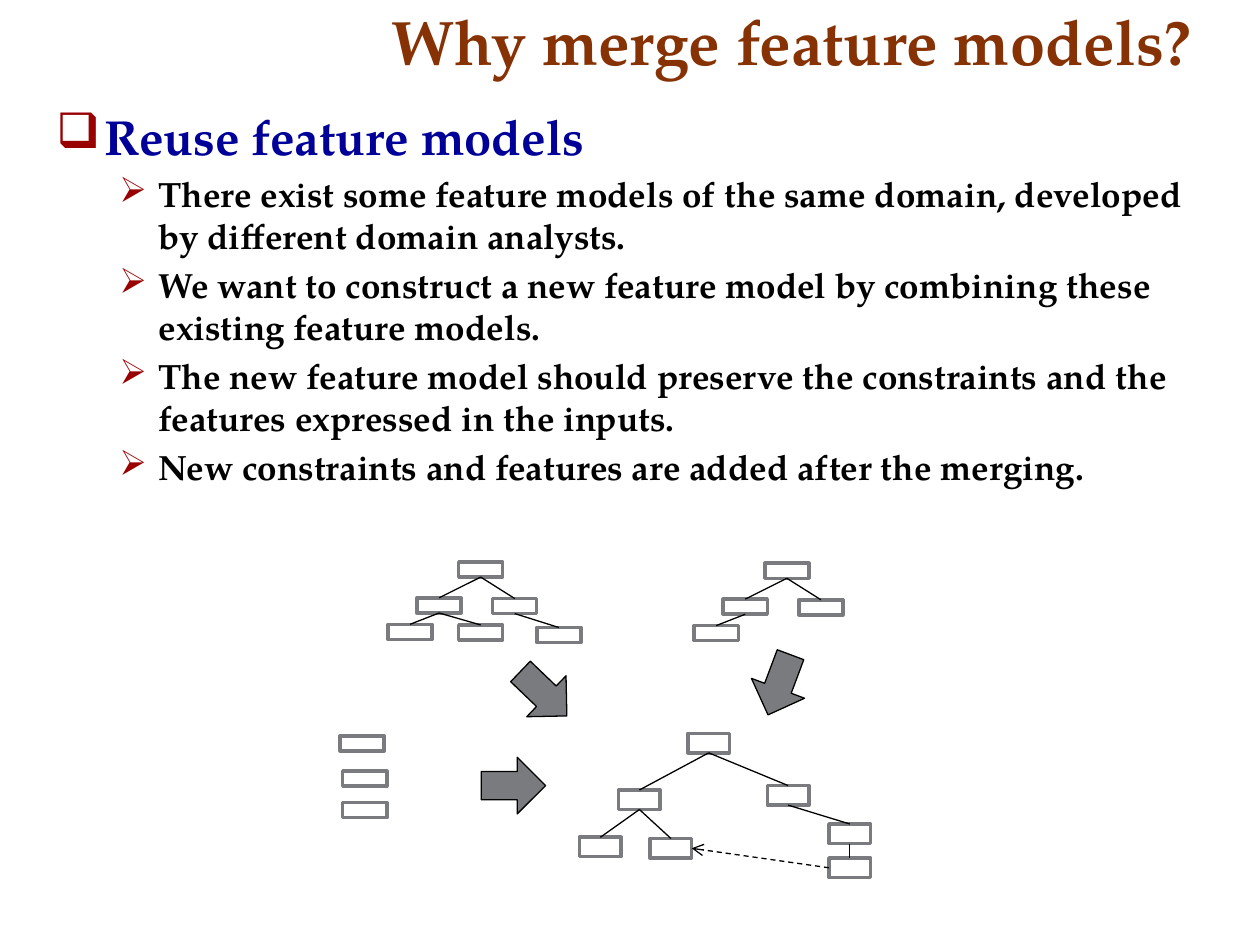
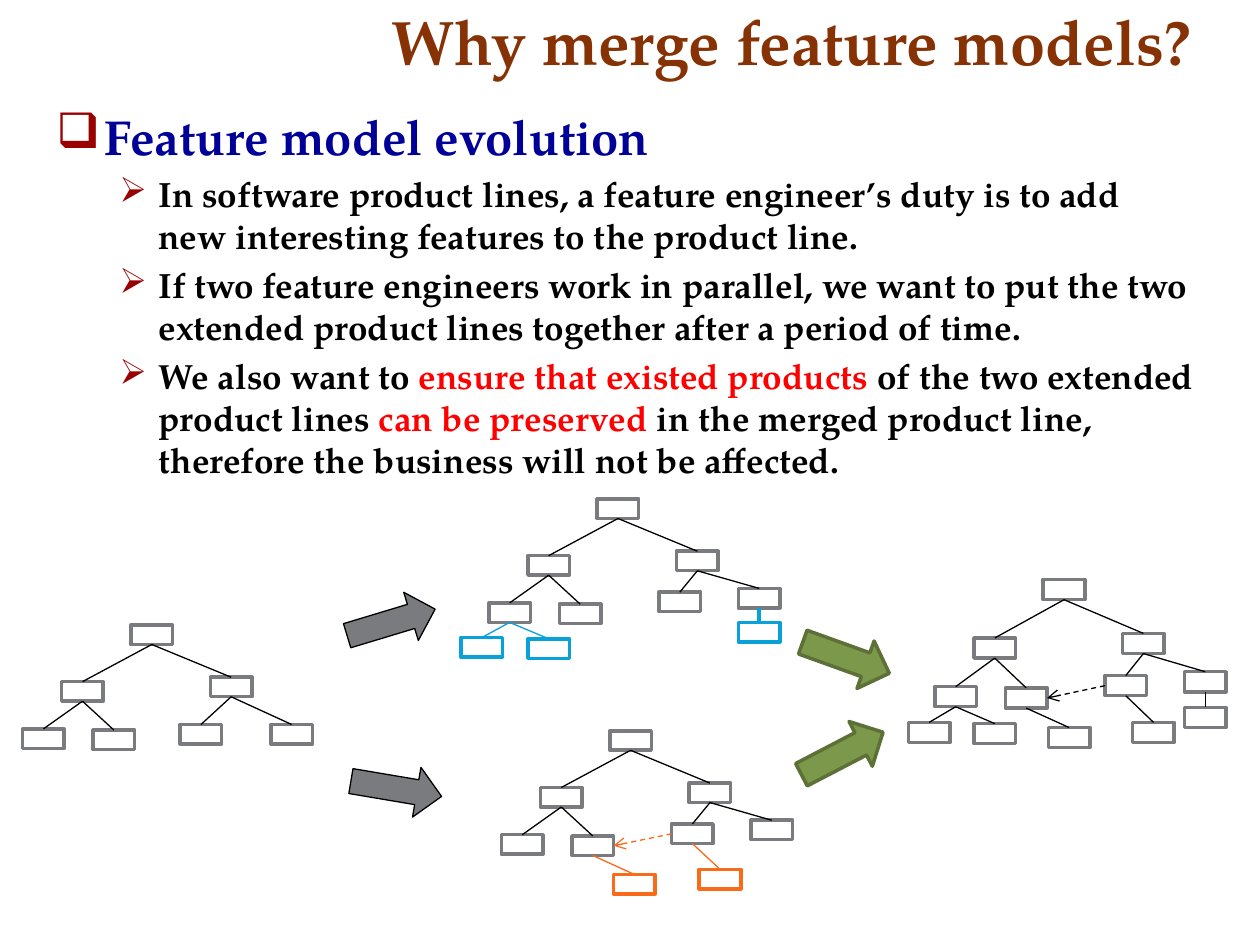
from dataclasses import dataclass

from lxml import etree
from pptx import Presentation
from pptx import util as u
from pptx.dml.color import RGBColor
from pptx.enum import dml, shapes, text
from pptx.oxml import ns

COLUMNS = 100
WIDTH, HEIGHT = u.Inches(10), u.Inches(7.5)
FONT = "TeX Gyre Pagella"

BROWN = RGBColor(0x86, 0x32, 0x04)
NAVY = RGBColor(0x00, 0x00, 0x99)
MAROON = RGBColor(0x99, 0x00, 0x00)
RED = RGBColor(0xFF, 0x00, 0x00)
BLACK = RGBColor(0x00, 0x00, 0x00)
WHITE = RGBColor(0xFF, 0xFF, 0xFF)
GRAY = RGBColor(0x79, 0x7B, 0x7E)
BLUE = RGBColor(0x08, 0xA1, 0xD9)
ORANGE = RGBColor(0xF9, 0x6A, 0x1B)
GREEN = RGBColor(0x7C, 0x98, 0x4A)
DARK_GREEN = RGBColor(0x5C, 0x70, 0x37)


@dataclass
class Feature:
    """A tree node, placed in grid cells from the root's top left corner."""
    column: float
    row: float
    parent: str = ""
    accent: RGBColor = None
    edge_width: float = 0.75


SMALL_NODE = (3.5, 1.2)
LARGE_NODE = (3.3, 1.55)

SMALL_TREE = {
    "root": Feature(0, 0),
    "left": Feature(-3.3, 2.85, "root"),
    "right": Feature(2.7, 2.9, "root"),
    "left_a": Feature(-5.6, 4.95, "left"),
}
WIDE_SMALL_TREE = SMALL_TREE | {
    "left_b": Feature(0, 5, "left"),
    "right_b": Feature(6.2, 5.2, "right"),
}
CORE_TREE = {
    "root": Feature(0, 0),
    "left": Feature(-5.5, 4.5, "root"),
    "right": Feature(6.3, 4.15, "root"),
    "left_a": Feature(-8.6, 8.25, "left"),
    "left_b": Feature(-3, 8.35, "left"),
}
BASE_TREE = CORE_TREE | {
    "right_a": Feature(3.9, 7.9, "right"),
    "right_b": Feature(11.1, 7.9, "right"),
}
COMBINED_TREE = CORE_TREE | {
    "right_b": Feature(11.2, 7.2, "right"),
    "right_b1": Feature(11.2, 9.9, "right_b"),
}
EXTENDED_TREE = CORE_TREE | {
    "right_a": Feature(4.9, 7.4, "right"),
    "right_b": Feature(11.2, 7.1, "right"),
}
BLUE_TREE = EXTENDED_TREE | {
    "left_a1": Feature(-10.8, 11, "left_a", BLUE),
    "left_a2": Feature(-5.5, 11.1, "left_a", BLUE),
    "right_b1": Feature(11.2, 9.8, "right_b", BLUE, 2),
}
ORANGE_TREE = EXTENDED_TREE | {
    "left_b1": Feature(0.3, 11.4, "left_b", ORANGE),
    "right_a1": Feature(7.1, 11, "right_a", ORANGE),
}
MERGED_TREE = EXTENDED_TREE | {
    "left_a1": Feature(-10.7, 11, "left_a"),
    "left_a2": Feature(-5.5, 11.1, "left_a"),
    "left_b1": Feature(0.4, 11.4, "left_b"),
    "right_a1": Feature(7.1, 11, "right_a"),
    "right_b1": Feature(11.2, 9.85, "right_b"),
}


def cells(count):
    """Length of a number of square grid cells."""
    return round(WIDTH * count / COLUMNS)


def add_frame(page, left, top, width, height, anchor):
    frame = page.shapes.add_textbox(*map(cells, (left, top, width, height))).text_frame
    frame.word_wrap = True
    frame.vertical_anchor = anchor
    return frame


def style(font, size, color):
    font.name, font.size, font.bold = FONT, u.Pt(size), True
    font.color.rgb = color


def add_bullet(para, symbol, margin, hanging):
    settings = para._p.get_or_add_pPr()
    settings.set("marL", str(cells(margin)))
    settings.set("indent", str(-cells(hanging)))
    color = etree.SubElement(settings, ns.qn("a:buClr"))
    etree.SubElement(color, ns.qn("a:srgbClr"), val=str(MAROON))
    etree.SubElement(settings, ns.qn("a:buChar"), char=symbol)


def add_title(page, title):
    frame = add_frame(page, 30.1, -0.3, 68.4, 7, text.MSO_ANCHOR.BOTTOM)
    frame.text = title
    style(frame.paragraphs[0].runs[0].font, 36, BROWN)


def add_body(page, heading, points):
    """Heading with bulleted points; words between asterisks turn red."""
    frame = add_frame(page, 3.5, 8, 92.3, 57, text.MSO_ANCHOR.TOP)
    frame.text = heading
    first = frame.paragraphs[0]
    add_bullet(first, "❑", 3.8, 3.8)
    style(first.runs[0].font, 28, NAVY)
    for point in points:
        para = frame.add_paragraph()
        add_bullet(para, "➢", 8.1, 3.1)
        para.space_before = u.Pt(4)
        for index, words in enumerate(point.split("*")):
            span = para.add_run()
            span.text = words
            style(span.font, 20, RED if index % 2 else BLACK)


def add_solid(parts, kind, place, fill, outline, line_width):
    shape = parts.add_shape(kind, *map(cells, place))
    shape.shadow.inherit = False
    shape.fill.solid()
    shape.fill.fore_color.rgb = fill
    shape.line.color.rgb = outline
    shape.line.width = u.Pt(line_width)
    return shape


def add_node(parts, left, top, size, color=GRAY):
    return add_solid(parts, shapes.MSO_SHAPE.RECTANGLE, (left, top, *size), WHITE, color, 2)


def add_line(parts, start, end, color, width=0.75):
    line = parts.add_connector(shapes.MSO_CONNECTOR.STRAIGHT, *map(round, (*start, *end)))
    line.line.color.rgb = color
    line.line.width = u.Pt(width)
    etree.SubElement(line._element.spPr, ns.qn("a:effectLst"))
    return line


def add_requirement(parts, source, target, color):
    """Dashed arrow from the left side of source to the right side of target."""
    line = add_line(parts, (source.left, source.top + source.height / 2),
                    (target.left + target.width, target.top + target.height / 2), color)
    line.line.dash_style = dml.MSO_LINE.DASH
    outline = line.line._get_or_add_ln()
    etree.SubElement(outline, ns.qn("a:tailEnd"), type="arrow")


def add_tree(page, left, top, features, size=LARGE_NODE, stretch=1,
             requirement=None, requirement_color=BLACK):
    """Feature tree whose root has its corner at left, top."""
    parts = page.shapes.add_group_shape().shapes
    boxes = {
        name: add_node(parts, left + feature.column, top + feature.row * stretch,
                       (size[0], size[1] * stretch), feature.accent or GRAY)
        for name, feature in features.items()
    }
    for name, feature in features.items():
        if feature.parent:
            parent, child = boxes[feature.parent], boxes[name]
            add_line(parts, (parent.left + parent.width / 2, parent.top + parent.height),
                     (child.left + child.width / 2, child.top),
                     feature.accent or BLACK, feature.edge_width)
    if requirement:
        source, target = requirement
        add_requirement(parts, boxes[source], boxes[target], requirement_color)


def add_arrow(page, kind, place, turn, fill=GRAY, outline=BLACK, line_width=0.75):
    add_solid(page.shapes, kind, place, fill, outline, line_width).rotation = turn


def add_reuse_diagram(page):
    add_tree(page, 36.4, 44.6, WIDE_SMALL_TREE, SMALL_NODE)
    add_tree(page, 60.7, 44.7, SMALL_TREE, SMALL_NODE)
    for left, top in ((27, 58.4), (27.2, 61.2), (27.2, 63.7)):
        add_node(page.shapes, left, top, SMALL_NODE)
    for left, top, turn in ((40.9, 52.5, 313.8), (59.6, 51.8, 20.5), (38.5, 59.8, 270)):
        add_arrow(page, shapes.MSO_SHAPE.DOWN_ARROW, (left, top, 4.5, 5.1), turn)
    add_tree(page, 54.6, 58.2, COMBINED_TREE, requirement=("right_b1", "left_b"))


def add_evolution_diagram(page):
    add_tree(page, 10.4, 49.6, BASE_TREE)
    add_tree(page, 47.4, 39.6, BLUE_TREE)
    add_tree(page, 48.4, 58, ORANGE_TREE, requirement=("right_a", "left_b"),
             requirement_color=ORANGE)
    add_tree(page, 82.8, 46, MERGED_TREE, stretch=1.03, requirement=("right_a", "left_b"))
    extend, merge = (GRAY, BLACK, 0.75), (GREEN, DARK_GREEN, 2)
    for left, top, turn, colors in ((27.4, 47.4, 343.2, extend), (27.8, 60.6, 9.6, extend),
                                    (63.5, 50.2, 19.8, merge), (63.2, 57.8, 332.5, merge)):
        add_arrow(page, shapes.MSO_SHAPE.RIGHT_ARROW, (left, top, 7.3, 4), turn, *colors)


def add_page(deck, heading, points, add_diagram):
    page = deck.slides.add_slide(deck.slide_layouts[6])
    add_title(page, "Why merge feature models?")
    add_body(page, heading, points)
    add_diagram(page)


def main():
    deck = Presentation()
    deck.slide_width, deck.slide_height = WIDTH, HEIGHT
    add_page(deck, "Reuse feature models", (
        "There exist some feature models of the same domain, developed by different "
        "domain analysts.",
        "We want to construct a new feature model by combining these existing feature models.",
        "The new feature model should preserve the constraints and the features expressed "
        "in the inputs.",
        "New constraints and features are added after the merging.",
    ), add_reuse_diagram)
    add_page(deck, "Feature model evolution", (
        "In software product lines, a feature engineer’s duty is to add new interesting "
        "features to the product line.",
        "If two feature engineers work in parallel, we want to put the two extended product "
        "lines together after a period of time.",
        "We also want to *ensure that existed products *of the two extended product lines "
        "*can be preserved *in the merged product line, therefore the business will not be "
        "affected.",
    ), add_evolution_diagram)
    deck.save("out.pptx")


if __name__ == "__main__":
    main()
